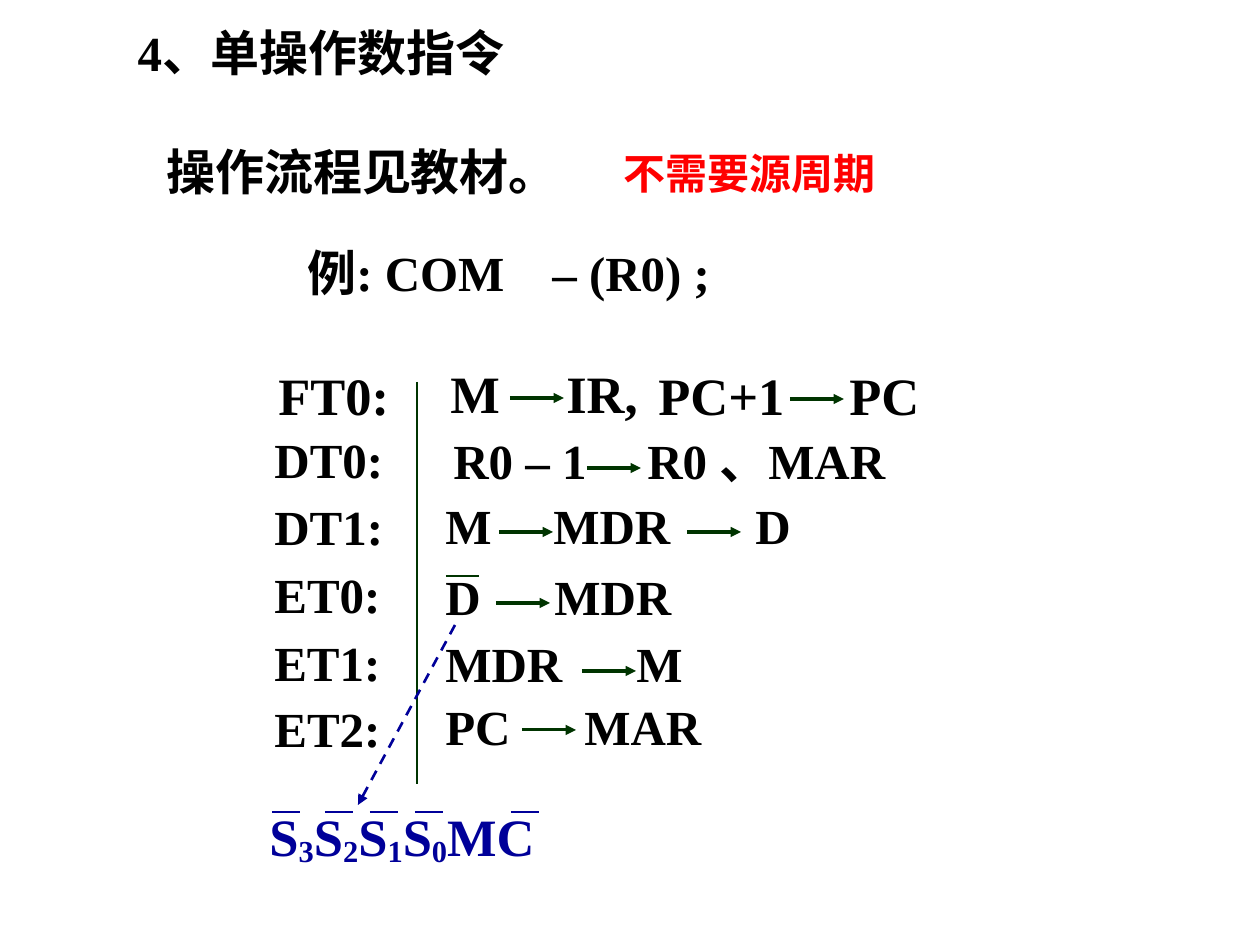
"""Build the slide on the single-operand instruction flow."""
from lxml import etree
from pptx import Presentation
from pptx import util as u
from pptx.dml.color import RGBColor
from pptx.enum import dml, shapes, text
from pptx.oxml.ns import qn

PX_PER_INCH = 126
INSET = 13
ARROW_LENGTH = 54
FONT = "Times New Roman"
COLORS = {"text": "000000", "note": "FF0000", "flow": "003400", "signal": "000099"}

TITLE = ("4、单操作数指令", (125, 16, 476, 72))
NOTES = [
    ("操作流程见教材。", (154, 135, 484, 72), {}),
    ("不需要源周期", (611, 141, 375, 63), {"size": 24, "color": "note"}),
    ("例: COM\t– (R0) ;", (295, 236, 508, 72), {"tabs": [553]}),
]
LABELS = [
    ("FT0:", (266, 357, 158, 77), 30),
    ("DT0:", (262, 423, 210, 72), 28),
    ("DT1:", (262, 490, 165, 72), 28),
    ("ET0:", (262, 558, 169, 72), 28),
    ("ET1:", (262, 626, 161, 72), 28),
    ("ET2:", (262, 692, 210, 72), 28),
]
TRANSFERS = [
    ("M\tIR,", (438, 367, 252, 64), 30, [567], [510], 398),
    ("PC+1\tPC", (646, 369, 321, 64), 30, [850], [790], 399),
    ("R0 – 1\tR0", (441, 436, 363, 60), 28, [648], [587], 468),
    ("、MAR", (707, 436, 246, 60), 28, [], [], 468),
    ("M\tMDR\tD", (433, 501, 393, 60), 28, [554, 756], [499, 687], 532),
    ("D\tMDR", (433, 572, 267, 60), 28, [555], [496], 603),
    ("MDR\tM", (433, 639, 319, 60), 28, [637], [582], 671),
    ("PC\tMAR", (433, 702, 302, 60), 28, [585], [522], 730),
]
SIGNALS = [("S", "3"), ("S", "2"), ("S", "1"), ("S", "0"), ("MC", "")]
SIGNALS_BOX = (257, 798, 362, 77)
SIGNAL_BARS = [272, 325, 370, 415, 511]
BAR_LENGTH, BAR_TOP = 28, 812


def px(length):
    return u.Inches(length / PX_PER_INCH)


def style_run(run, size, color):
    run.font.name = FONT
    run.font.size = u.Pt(size)
    run.font.bold = True
    run.font.color.rgb = RGBColor.from_string(COLORS[color])


def write(slide, content, box, size=28, color="text", tabs=(), spacing=None, shape=None):
    """Write a string, or pairs of base text and subscript, into a box."""
    shape = shape or slide.shapes.add_textbox(0, 0, 0, 0)
    shape.left, shape.top, shape.width, shape.height = map(px, box)
    frame = shape.text_frame
    frame.word_wrap = True
    frame.auto_size = text.MSO_AUTO_SIZE.SHAPE_TO_FIT_TEXT
    frame.vertical_anchor = text.MSO_ANCHOR.TOP
    paragraph = frame.paragraphs[0]
    paragraph.alignment = text.PP_ALIGN.LEFT
    paragraph.line_spacing = spacing
    if tabs:
        tab_list = etree.SubElement(paragraph._p.get_or_add_pPr(), qn("a:tabLst"))
        for stop in tabs:
            position = px(stop - box[0] - INSET)
            etree.SubElement(tab_list, qn("a:tab"), pos=str(position), algn="l")
    pairs = [(content, "")] if isinstance(content, str) else content
    for base, subscript in pairs:
        for part, offset in ((base, None), (subscript, "-12000")):
            if part:
                run = paragraph.add_run()
                run.text = part
                style_run(run, size, color)
                if offset:
                    run._r.get_or_add_rPr().set("baseline", offset)


def draw_line(slide, start, end, color="flow", width=1.5, arrow=False, dashed=False):
    connector = slide.shapes.add_connector(
        shapes.MSO_CONNECTOR.STRAIGHT, *map(px, start + end))
    connector.line.color.rgb = RGBColor.from_string(COLORS[color])
    connector.line.width = u.Pt(width)
    if dashed:
        connector.line.dash_style = dml.MSO_LINE.DASH
    properties = connector._element.spPr
    if arrow:
        etree.SubElement(properties.find(qn("a:ln")), qn("a:tailEnd"), type="triangle")
    etree.SubElement(properties, qn("a:effectLst"))


def main():
    presentation = Presentation()
    presentation.slide_width, presentation.slide_height = px(1260), px(945)
    slide = presentation.slides.add_slide(presentation.slide_layouts[5])

    write(slide, *TITLE, shape=slide.shapes.title)
    for content, box, style in NOTES:
        write(slide, content, box, **style)
    for content, box, size in LABELS:
        write(slide, content, box, size=size)
    for content, box, size, tabs, arrows, y in TRANSFERS:
        write(slide, content, box, size=size, tabs=tabs, spacing=0.8)
        for x in arrows:
            draw_line(slide, (x, y), (x + ARROW_LENGTH, y), width=1.75, arrow=True)

    draw_line(slide, (446, 576), (479, 576))
    draw_line(slide, (417, 382), (417, 784))
    draw_line(slide, (455, 625), (358, 805), "signal", arrow=True, dashed=True)

    write(slide, SIGNALS, SIGNALS_BOX, size=30, color="signal")
    for x in SIGNAL_BARS:
        draw_line(slide, (x, BAR_TOP), (x + BAR_LENGTH, BAR_TOP), "signal")

    presentation.save("out.pptx")


if __name__ == "__main__":
    main()
